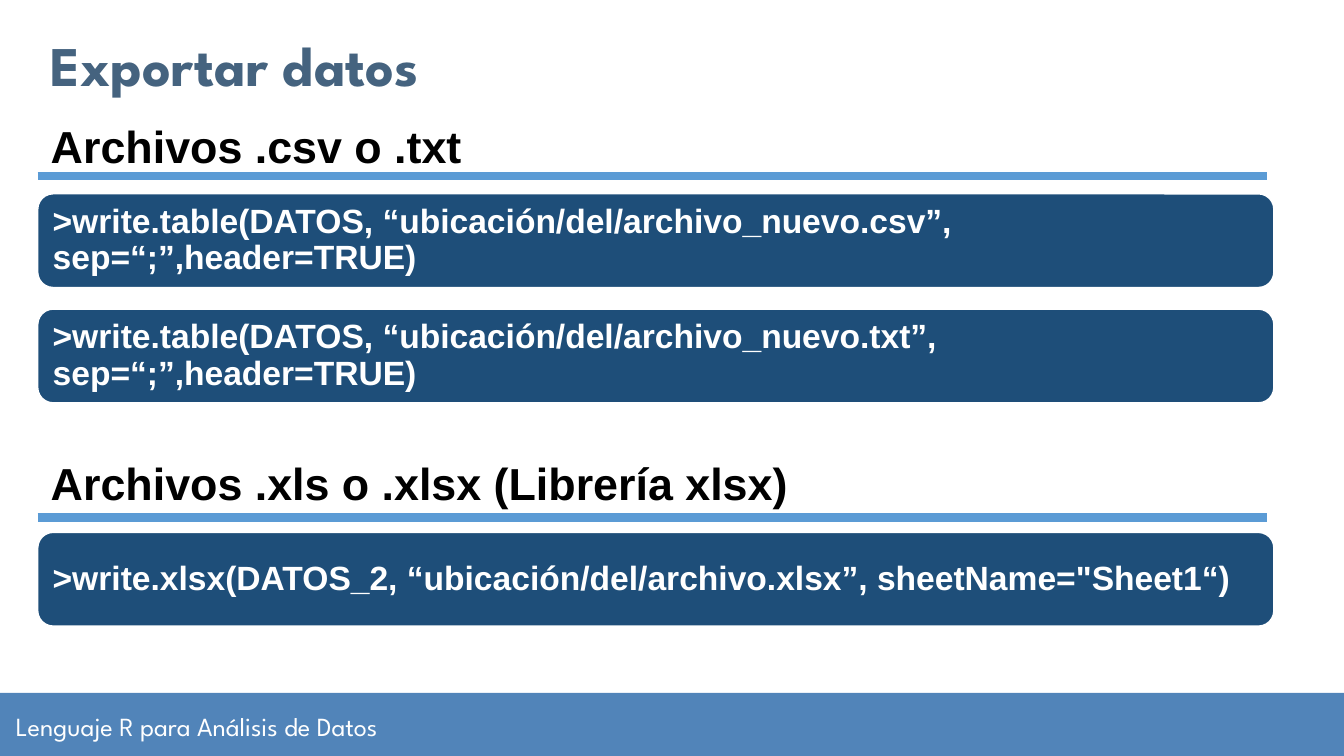
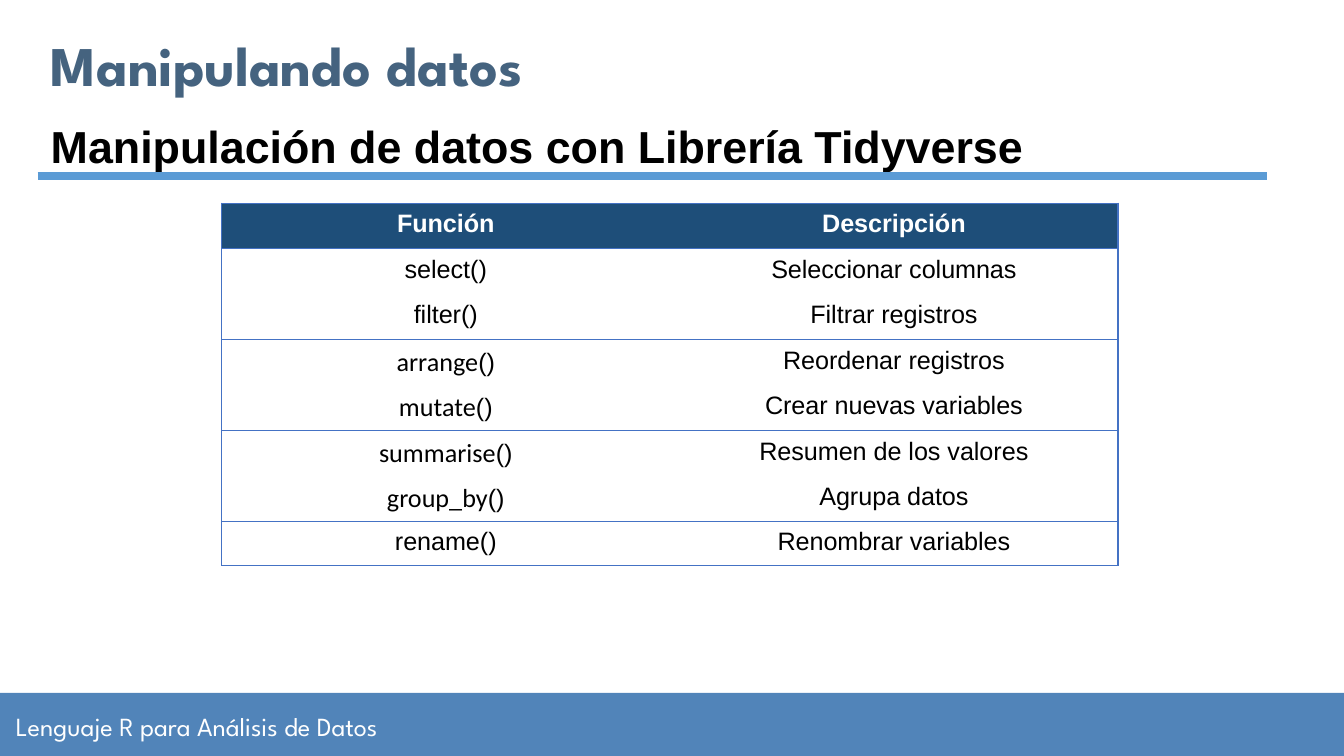
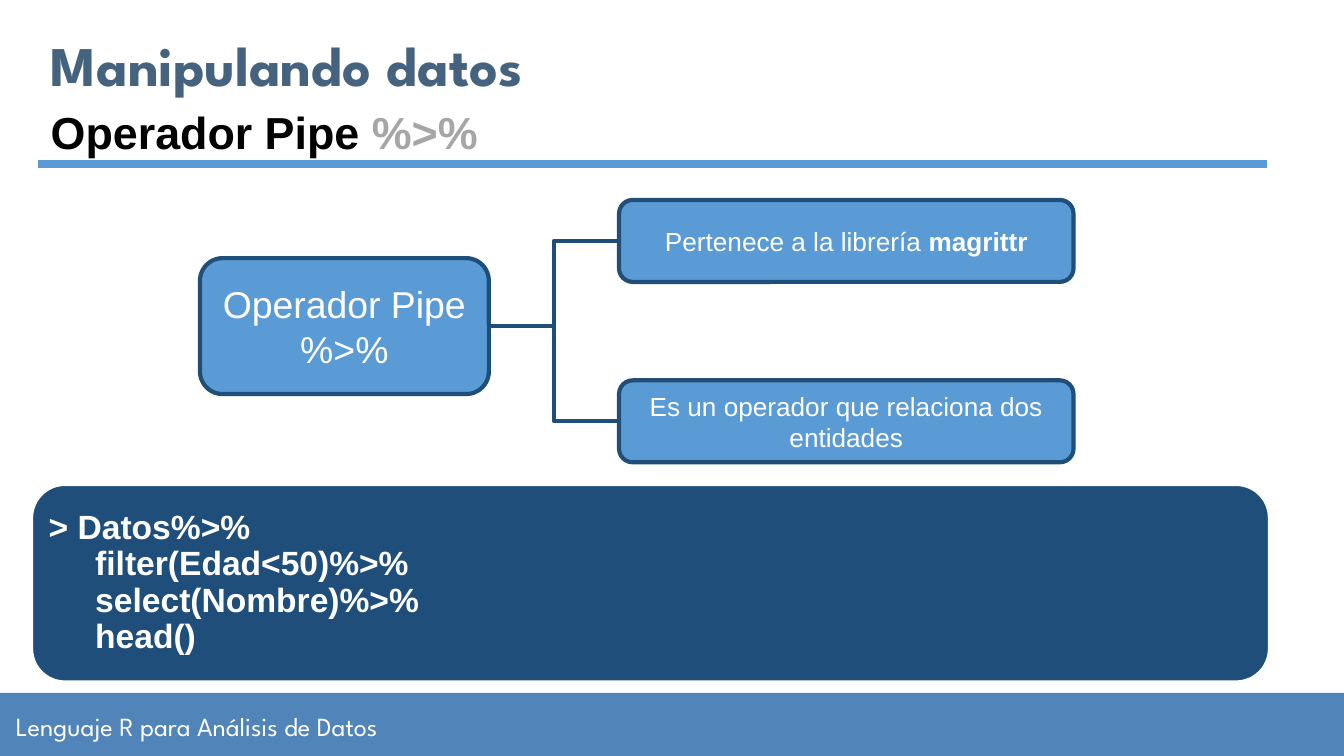
"""Build three slides on exporting and handling data in R."""
import dataclasses

import lxml.etree
import pptx
import pptx.dml.color
import pptx.enum.shapes
import pptx.enum.text
import pptx.oxml.ns
import pptx.util

Cm = pptx.util.Cm
Pt = pptx.util.Pt
qn = pptx.oxml.ns.qn
RGB = pptx.dml.color.RGBColor.from_string
ALIGN = pptx.enum.text.PP_ALIGN
ANCHOR = pptx.enum.text.MSO_ANCHOR
SHAPE = pptx.enum.shapes.MSO_SHAPE
WIRE = pptx.enum.shapes.MSO_CONNECTOR


@dataclasses.dataclass(frozen=True)
class Theme:
    white: str = "FFFFFF"
    black: str = "000000"
    gray: str = "A6A6A6"
    slate: str = "45637F"
    band: str = "5184B9"
    sky: str = "5B9BD5"
    navy: str = "1E4E79"
    edge: str = "1F4E79"
    grid: str = "4472C4"
    brand: str = "League Spartan"
    body: str = "Arial"
    code: str = "Calibri"
    title: float = 30
    head: float = 24
    root: float = 20
    panel: float = 18
    small: float = 14
    cell: float = 13.5


theme = Theme()


def box(slide, at, fill=None, line=None, width=0, kind=SHAPE.ROUNDED_RECTANGLE):
    place = [Cm(n) for n in at]
    if fill is None:
        return slide.shapes.add_textbox(*place)
    shape = slide.shapes.add_shape(kind, *place)
    shape.shadow.inherit = False
    shape.fill.solid()
    shape.fill.fore_color.rgb = RGB(fill)
    if line:
        shape.line.color.rgb = RGB(line)
        shape.line.width = Pt(width)
    else:
        shape.line.fill.background()
    return shape


def write(frame, lines, size, tone, font=theme.body, bold=False, align=ALIGN.LEFT,
          pad=(0.25, 0.13), anchor=ANCHOR.MIDDLE, space=None):
    frame.word_wrap = True
    frame.vertical_anchor = anchor
    frame.margin_left = frame.margin_right = Cm(pad[0])
    frame.margin_top = frame.margin_bottom = Cm(pad[1])
    for row, parts in enumerate(lines):
        para = frame.add_paragraph() if row else frame.paragraphs[0]
        para.alignment = align
        para.line_spacing = space
        for text, own in parts:
            run = para.add_run()
            run.text = text
            run.font.name = own.get("font", font)
            run.font.size = Pt(own.get("size", size))
            run.font.bold = own.get("bold", bold)
            run.font.color.rgb = RGB(own.get("tone", tone))


deck = pptx.Presentation()
deck.slide_width = Cm(25.4)
deck.slide_height = Cm(14.29)
wires = []

slides = []
for title in ("Exportar datos", "Manipulando datos", "Manipulando datos"):
    slide = deck.slides.add_slide(deck.slide_layouts[6])
    slides.append(slide)
    box(slide, (0, 13.1, 25.4, 1.19), theme.band, kind=SHAPE.RECTANGLE)
    foot = box(slide, (0.05, 13.13, 12.62, 1.19))
    write(foot.text_frame, [[("Lenguaje R para Análisis de Datos", {})]],
          theme.small, theme.white, theme.brand, pad=(0.25, 0.25))
    name = box(slide, (0.71, 0.56, 16.74, 1.3))
    write(name.text_frame, [[(title, {})]], theme.title, theme.slate,
          theme.brand, bold=True, pad=(0.25, 0.25))
export, verbs, pipe = slides

heads = [
    (export, 2.11, 3.33, 9.22, [("Archivos .csv o .txt", {})]),
    (export, 8.48, 9.78, 18.69, [("Archivos .xls o .xlsx (Librería xlsx)", {})]),
    (verbs, 2.11, 3.33, 23.75, [("Manipulación de datos con Librería Tidyverse", {})]),
    (pipe, 1.85, 3.1, 23.75, [("Operador Pipe ", {}), ("%>%", {"tone": theme.gray})]),
]
for slide, top, rule, width, parts in heads:
    head = box(slide, (0.71, top, width, 1.27))
    write(head.text_frame, [parts], theme.head, theme.black, bold=True,
          anchor=ANCHOR.TOP)
    head.text_frame.auto_size = pptx.enum.text.MSO_AUTO_SIZE.SHAPE_TO_FIT_TEXT
    wire = slide.shapes.add_connector(WIRE.STRAIGHT, Cm(0.71), Cm(rule), Cm(23.95), Cm(rule))
    wires.append((wire, theme.sky, 4.5))

panels = [
    (export, (0.71, 3.66, 23.37, 1.78), 0.2,
     [">write.table(DATOS, “ubicación/del/archivo_nuevo.csv”, sep=“;”,header=TRUE)"]),
    (export, (0.71, 5.84, 23.37, 1.78), 0.2,
     [">write.table(DATOS, “ubicación/del/archivo_nuevo.txt”, sep=“;”,header=TRUE)"]),
    (export, (0.71, 10.06, 23.37, 1.78), 0.2,
     [">write.xlsx(DATOS_2, “ubicación/del/archivo.xlsx”, sheetName=\"Sheet1“)"]),
    (pipe, (0.61, 9.17, 23.37, 3.71), 0.13,
     ["> Datos%>%", "filter(Edad<50)%>%", "select(Nombre)%>%", "head()"]),
]
for slide, at, side, lines in panels:
    panel = box(slide, at, theme.navy, theme.white, 1)
    write(panel.text_frame, [[(text, {})] for text in lines], theme.panel,
          theme.white, bold=True, pad=(side, 0.1), space=0.9)
    for para in panel.text_frame.paragraphs[1:]:
        props = para._p.get_or_add_pPr()
        props.set("marL", str(Cm(0.88)))
        props.set("indent", "0")

rows = [
    ("Función", "Descripción"),
    ("select()", "Seleccionar columnas"),
    ("filter()", "Filtrar registros"),
    ("arrange()", "Reordenar registros"),
    ("mutate()", "Crear nuevas variables"),
    ("summarise()", "Resumen de los valores"),
    ("group_by()", "Agrupa datos"),
    ("rename()", "Renombrar variables"),
]
last = len(rows) - 1
table = verbs.shapes.add_table(len(rows), 2, Cm(4.19), Cm(3.84), Cm(16.94), Cm(6.82)).table
table.horz_banding = False
for col in table.columns:
    col.width = Cm(8.47)
for r, row in enumerate(rows):
    table.rows[r].height = Cm(0.86 if r < 6 else 0.83)
    for c, text in enumerate(row):
        cell = table.cell(r, c)
        cell.fill.solid()
        cell.fill.fore_color.rgb = RGB(theme.white if r else theme.navy)
        parts = [(text, {})]
        if c == 0 and 3 <= r <= 6:
            parts = [(text[:-2], {"font": theme.code, "size": theme.small}), ("()", {})]
        write(cell.text_frame, [parts], theme.cell,
              theme.black if r else theme.white, bold=r == 0, align=ALIGN.CENTER)
        cell.vertical_anchor = ANCHOR.TOP
        cell.margin_left = cell.margin_right = Cm(0.25)
        cell.margin_top = cell.margin_bottom = Cm(0.13)
        sides = {"lnL": c == 0, "lnR": c == 1, "lnT": r == 0 or r % 2 == 1,
                 "lnB": r == last or r % 2 == 0}
        props = cell._tc.get_or_add_tcPr()
        for spot, (side, drawn) in enumerate(sides.items()):
            edge = lxml.etree.Element(qn("a:" + side), w=str(Pt(0.75)))
            if drawn:
                paint = lxml.etree.SubElement(edge, qn("a:solidFill"))
                lxml.etree.SubElement(paint, qn("a:srgbClr"), val=theme.grid)
            else:
                lxml.etree.SubElement(edge, qn("a:noFill"))
            props.insert(spot, edge)

root = box(pipe, (3.78, 4.88, 5.46, 2.57), theme.sky, theme.edge, 2.25)
write(root.text_frame, [[("Operador Pipe", {})], [("%>%", {})]], theme.root,
      theme.white, align=ALIGN.CENTER)
leaves = [
    (3.78, [("Pertenece a la librería ", {}), ("magrittr", {"bold": True})]),
    (7.19, [("Es un operador que relaciona dos entidades", {})]),
]
for top, parts in leaves:
    leaf = box(pipe, (11.7, top, 8.59, 1.55), theme.sky, theme.edge, 2.25)
    write(leaf.text_frame, [parts], theme.small, theme.white, align=ALIGN.CENTER)
    wire = pipe.shapes.add_connector(WIRE.ELBOW, 0, 0, 0, 0)
    wire.begin_connect(root, 3)
    wire.end_connect(leaf, 1)
    wires.append((wire, theme.edge, 2.25))

for wire, tone, width in wires:
    wire.line.color.rgb = RGB(tone)
    wire.line.width = Pt(width)
    lxml.etree.SubElement(wire._element.spPr, qn("a:effectLst"))

deck.save("out.pptx")
